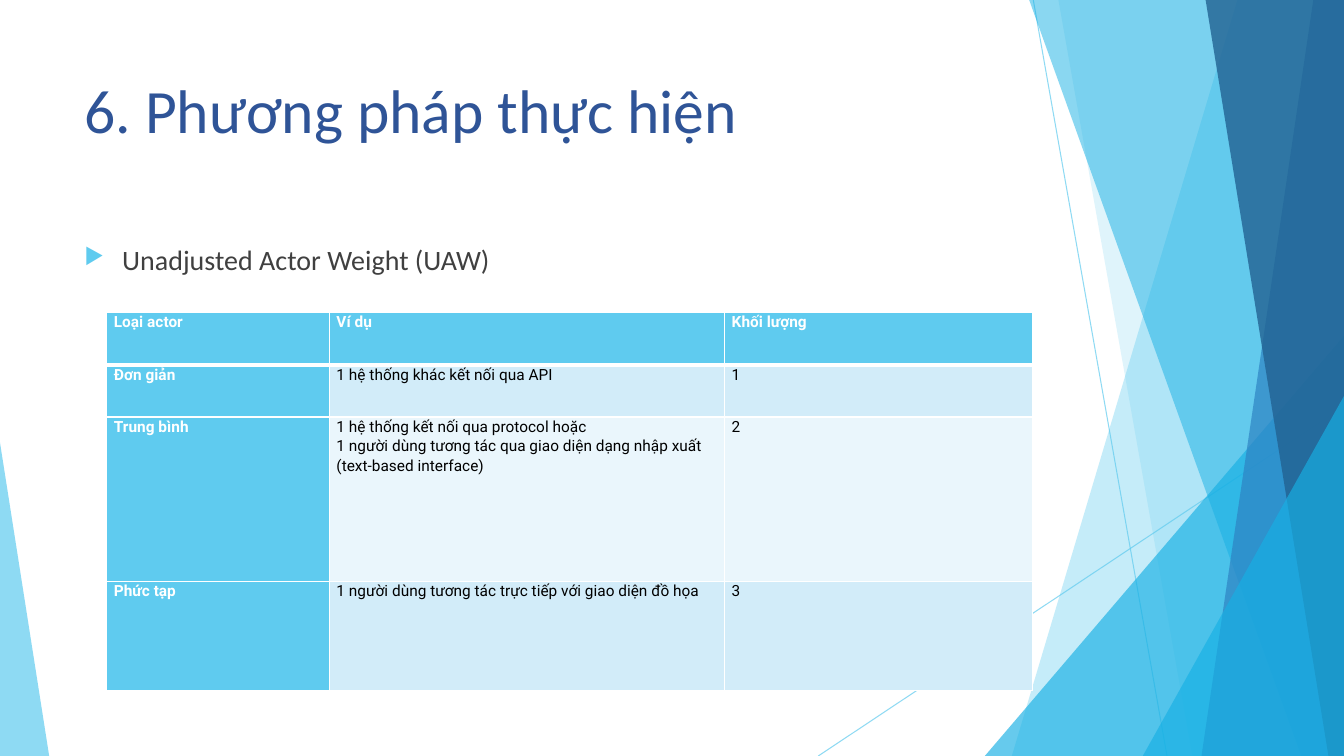
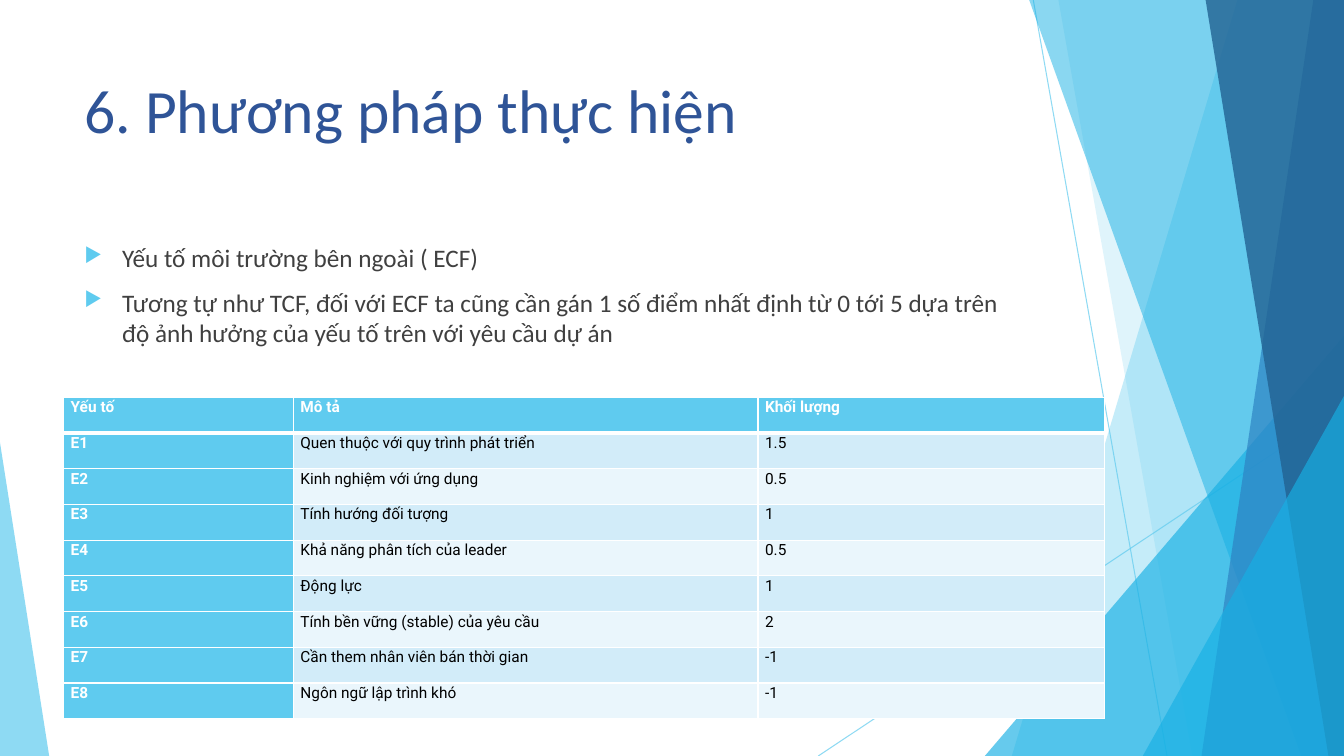
"""Build two slides on weighting actors and environment factors."""
import pptx
import pptx.dml.color
import pptx.enum.shapes
import pptx.oxml
import pptx.oxml.ns
import pptx.util

Cm, Pt = pptx.util.Cm, pptx.util.Pt
SHAPE = pptx.enum.shapes.MSO_SHAPE
STRAIGHT = pptx.enum.shapes.MSO_CONNECTOR.STRAIGHT
WIDTH, HEIGHT = 33.87, 19.05
SKY, AQUA, BLUE, NAVY = "5FCBEF", "17B0E4", "2E83C3", "226292"
WHITE, BLACK, GREY, TITLE_BLUE = "FFFFFF", "000000", "404040", "2F5497"
BANDS = ("D2ECF9", "EAF6FC")
TITLE = "6. Phương pháp thực hiện"

ACTORS = [
    ("Loại actor", "Ví dụ", "Khối lượng"),
    ("Đơn giản", "1 hệ thống khác kết nối qua API", "1"),
    ("Trung bình ", "1 hệ thống kết nối qua protocol hoặc\n"
     "1 người dùng tương tác qua giao diện dạng nhập xuất "
     "(text-based interface)", "2"),
    ("Phức tạp", "1 người dùng tương tác trực tiếp với giao diện đồ họa", "3"),
]
FACTORS = [
    ("Yếu tố ", "Mô tả", "Khối lượng"),
    ("E1", "Quen thuộc với quy trình phát triển", "1.5"),
    ("E2", "Kinh nghiệm với ứng dụng", "0.5"),
    ("E3", "Tính hướng đối tượng", "1"),
    ("E4", "Khả năng phân tích của leader", "0.5"),
    ("E5", "Động lực", "1"),
    ("E6", "Tính bền vững (stable) của yêu cầu", "2"),
    ("E7", "Cần them nhân viên bán thời gian", "-1"),
    ("E8", "Ngôn ngữ lập trình khó", "-1"),
]


def rgb(value):
    """Turn a hex string into a colour."""
    return pptx.dml.color.RGBColor.from_string(value)


def add_xml(parent, xml):
    """Append a drawing element written as XML with the a: prefix."""
    declared = xml.replace(" ", f" {pptx.oxml.ns.nsdecls('a')} ", 1)
    parent.append(pptx.oxml.parse_xml(declared))


def set_opacity(s, percent):
    """Make the one colour of a shape or connector see-through."""
    for colour in s.element.spPr.xpath(".//a:srgbClr"):
        add_xml(colour, f'<a:alpha val="{percent * 1000}"/>')


def paint(s, colour, percent):
    """Fill a shape with a translucent colour and no outline."""
    s.shadow.inherit = False
    s.fill.solid()
    s.fill.fore_color.rgb = rgb(colour)
    s.line.fill.background()
    set_opacity(s, percent)


def add_line(slide, x1, y1, x2, y2):
    """Draw a thin sky-blue line."""
    s = slide.shapes.add_connector(STRAIGHT, Cm(x1), Cm(y1), Cm(x2), Cm(y2))
    s.line.color.rgb = rgb(SKY)
    s.line.width = Pt(0.75)
    set_opacity(s, 70)
    add_xml(s.element.spPr, "<a:effectLst />")


def add_panel(slide, top_x, bottom_x, colour, percent):
    """Fill the area between a slanted edge and the right side."""
    builder = slide.shapes.build_freeform(Cm(top_x), Cm(-0.02))
    corners = [(WIDTH, -0.02), (WIDTH, HEIGHT), (bottom_x, HEIGHT)]
    builder.add_line_segments([(Cm(x), Cm(y)) for x, y in corners])
    paint(builder.convert_to_shape(), colour, percent)


def add_corner(slide, left, top, width, apex, colour, percent):
    """Draw a right triangle standing on the bottom edge."""
    s = slide.shapes.add_shape(SHAPE.ISOSCELES_TRIANGLE, Cm(left), Cm(top),
                               Cm(width), Cm(HEIGHT - top))
    s.adjustments[0] = apex
    paint(s, colour, percent)


def add_backdrop(slide):
    """Draw the facets that every slide shares."""
    add_line(slide, 26.04, 0, 29.41, HEIGHT)
    add_line(slide, WIDTH, 10.24, 20.62, HEIGHT)
    add_panel(slide, 31.19, 25.5, SKY, 36)
    add_panel(slide, 26.67, 30.05, SKY, 20)
    add_corner(slide, 24.82, 8.46, 9.05, 1, AQUA, 66)
    add_panel(slide, 25.93, 32.79, AQUA, 50)
    add_panel(slide, 33.1, 30.28, BLUE, 70)
    add_panel(slide, 30.38, 33.48, NAVY, 80)
    add_corner(slide, 28.8, 9.98, 5.07, 1, AQUA, 66)
    add_corner(slide, 0, 11.15, 1.24, 0, SKY, 70)


def write(p, text, *, size, colour, font="Calibri", bold=False,
          before=None, after=None, spacing=None):
    """Write text into a paragraph, with a line break at each newline."""
    for i, line in enumerate(text.split("\n")):
        if i:
            p.add_line_break()
        r = p.add_run()
        r.text = line
        r.font.name, r.font.size, r.font.bold = font, Pt(size), bold
        r.font.color.rgb = rgb(colour)
    if before is not None:
        p.space_before = Pt(before)
    if after is not None:
        p.space_after = Pt(after)
    if spacing is not None:
        p.line_spacing = spacing


def add_frame(slide, top, height):
    """Add a wrapping text box in the main column."""
    s = slide.shapes.add_textbox(Cm(1.88), Cm(top), Cm(23.88), Cm(height))
    s.text_frame.word_wrap = True
    return s.text_frame


def add_bullets(slide, items, size):
    """List items behind sky-blue arrow bullets."""
    tf = add_frame(slide, 5.99, 10.77)
    for i, item in enumerate(items):
        p = tf.add_paragraph() if i else tf.paragraphs[0]
        write(p, item, size=size, colour=GREY, before=10)
        pPr = p._p.get_or_add_pPr()
        pPr.set("marL", str(Cm(0.95)))
        pPr.set("indent", str(Cm(-0.95)))
        add_xml(pPr, f'<a:buClr ><a:srgbClr val="{SKY}"/></a:buClr>')
        add_xml(pPr, '<a:buSzPct val="80000"/>')
        add_xml(pPr, '<a:buChar char="▶"/>')


def format_cell(cell, text, row, col):
    """Style a cell as header, row label or banded value."""
    heading = row == 0 or col == 0
    tcPr = cell._tc.get_or_add_tcPr()
    widths = {"L": 1, "R": 1, "T": 3 if row == 1 else 1,
              "B": 3 if row == 0 else 1}
    for side, width in widths.items():
        add_xml(tcPr, f'<a:ln{side} w="{Pt(width)}"><a:solidFill>'
                f'<a:srgbClr val="{WHITE}"/></a:solidFill></a:ln{side}>')
    cell.fill.solid()
    cell.fill.fore_color.rgb = rgb(SKY if heading else BANDS[(row - 1) % 2])
    cell.margin_left = cell.margin_right = Cm(0.18)
    cell.margin_top = cell.margin_bottom = 0
    write(cell.text_frame.paragraphs[0], text, size=11, font="Roboto",
          colour=WHITE if heading else BLACK, bold=heading,
          after=8, spacing=1.07)


def add_grid(slide, left, top, widths, heights, rows):
    """Add a table with a header row and a label column."""
    table = slide.shapes.add_table(
        len(rows), len(widths), Cm(left), Cm(top),
        Cm(sum(widths)), Cm(sum(heights))).table
    table.horz_banding = False
    for column, width in zip(table.columns, widths):
        column.width = Cm(width)
    for i, (height, values) in enumerate(zip(heights, rows)):
        table.rows[i].height = Cm(height)
        for j, text in enumerate(values):
            format_cell(table.cell(i, j), text, i, j)


def add_content_slide(prs, bullets, size):
    """Add a slide with the backdrop, title and bullets."""
    slide = prs.slides.add_slide(prs.slide_layouts[6])
    add_backdrop(slide)
    write(add_frame(slide, 1.7, 3.66).paragraphs[0], TITLE,
          size=44, colour=TITLE_BLUE)
    add_bullets(slide, bullets, size)
    return slide


def main():
    """Build and save the presentation."""
    prs = pptx.Presentation()
    prs.slide_width, prs.slide_height = Cm(WIDTH), Cm(HEIGHT)

    slide = add_content_slide(prs, ["Unadjusted Actor Weight (UAW)"], 20)
    add_grid(slide, 2.69, 7.87, [5.61, 9.96, 7.77],
             [1.32, 1.32, 4.14, 2.74], ACTORS)

    slide = add_content_slide(prs, [
        "Yếu tố môi trường bên ngoài ( ECF) ",
        "Tương tự như TCF, đối với ECF ta cũng cần gán 1 số điểm nhất định "
        "từ 0 tới 5 dựa trên độ ảnh hưởng của yếu tố trên với yêu cầu dự án",
    ], 18)
    add_grid(slide, 1.6, 10.01, [5.79, 11.71, 8.74],
             [0.9] * len(FACTORS), FACTORS)

    prs.save("out.pptx")


main()
